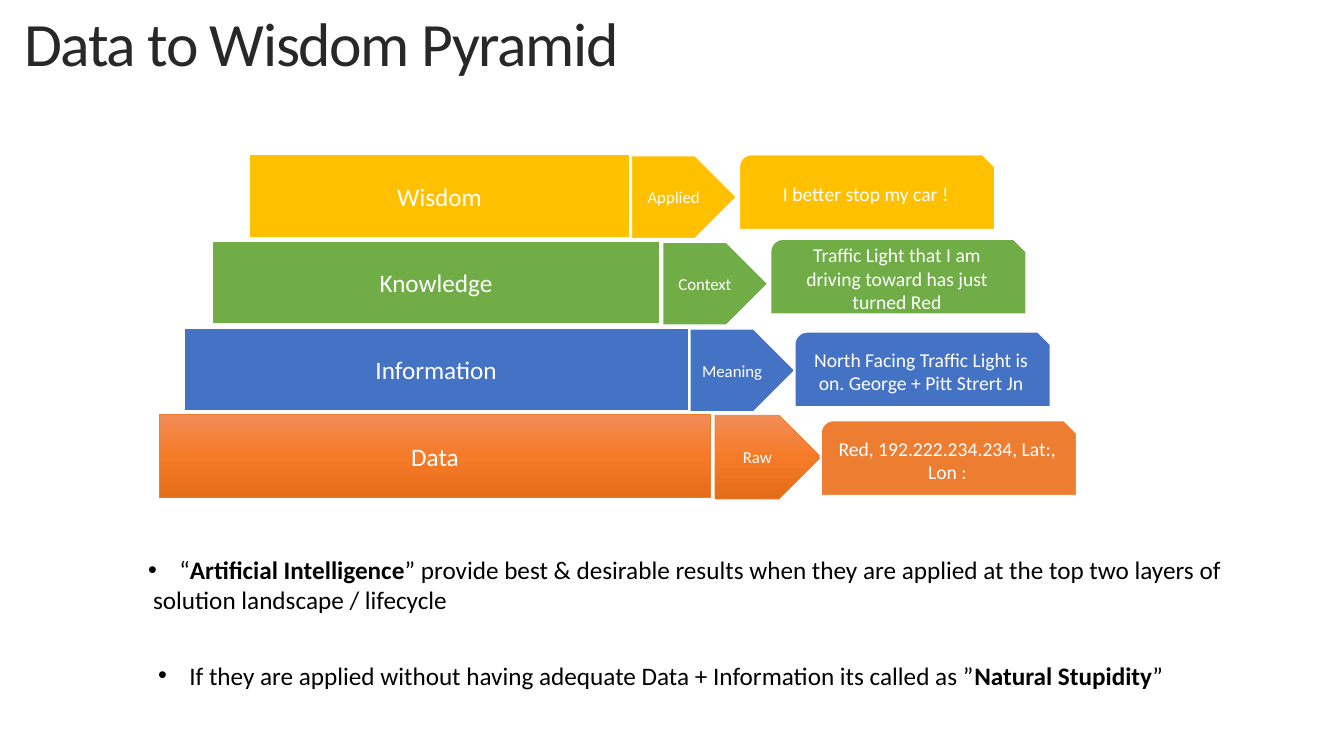
from pptx import Presentation
from pptx.dml.color import RGBColor
from pptx.enum.shapes import MSO_SHAPE
from pptx.enum.text import MSO_ANCHOR, MSO_AUTO_SIZE, PP_ALIGN
from pptx.oxml.ns import qn
from pptx.util import Inches, Pt
from copy import deepcopy
from lxml import etree

BAR = MSO_SHAPE.RECTANGLE
ARROW = MSO_SHAPE.PENTAGON
CARD = MSO_SHAPE.SNIP_ROUND_RECTANGLE
MIDDLE, TOP = MSO_ANCHOR.MIDDLE, MSO_ANCHOR.TOP
CENTER = PP_ALIGN.CENTER
GROW = MSO_AUTO_SIZE.SHAPE_TO_FIT_TEXT

WHITE = RGBColor(0xFF, 0xFF, 0xFF)
BLACK = RGBColor(0, 0, 0)
CHARCOAL = RGBColor(0x28, 0x28, 0x28)
GOLD = RGBColor(0xFF, 0xC0, 0x00)
GREEN = RGBColor(0x70, 0xAD, 0x47)
BLUE = RGBColor(0x44, 0x72, 0xC4)
ORANGE = RGBColor(0xED, 0x7D, 0x31)
ORANGE_SHADES = (RGBColor(0xF1, 0x8C, 0x57), RGBColor(0xF6, 0x7B, 0x28),
                 RGBColor(0xE5, 0x6C, 0x19))
FONT = "Calibri"

# Content
TITLE = "Data to Wisdom Pyramid"
# name, bar left, bar width, step, arrow left, example, card left, card top, colour, shades
LEVELS = [
    ("Wisdom", 2.47, 3.78, "Applied", 6.26, "I better stop my car !",
     7.33, 1.53, GOLD, None),
    ("Knowledge", 2.1, 4.45, "Context", 6.57,
     "Traffic Light that I am driving toward has just turned Red",
     7.64, 2.37, GREEN, None),
    ("Information", 1.82, 5.01, "Meaning", 6.84,
     "North Facing Traffic Light is on. George + Pitt Strert Jn",
     7.88, 3.29, BLUE, None),
    ("Data", 1.58, 5.47, "Raw", 7.09, "Red, 192.222.234.234, Lat:, Lon :",
     8.14, 4.17, ORANGE, ORANGE_SHADES),
]
# box, then paragraphs of (bulleted, runs of (text, bold))
NOTES = [
    ((1.37, 5.45, 10.94, 0.71), [
        (True, [("“", False), ("Artificial Intelligence", True),
                ("” provide best & desirable results when they are applied "
                 "at the top two layers of", False)]),
        (False, [("solution landscape / lifecycle", False)]),
    ]),
    ((1.47, 6.5, 10.46, 0.4), [
        (True, [("If they are applied without having adequate Data + Information "
                 "its called as ”", False),
                ("Natural Stupidity", True), ("”", False)]),
    ]),
]

# Layout
FIRST_TOP, ROW_STEP, ROW_HEIGHT = 1.53, 0.86, 0.83
ARROW_WIDTH, ARROW_DROP = 1.05, 0.01
CARD_WIDTH, CARD_HEIGHT = 2.54, 0.75
BULLET_INDENT, CONTINUED_INDENT = 0.31, 0.05

prs = Presentation()
prs.slide_width, prs.slide_height = Inches(13.33), Inches(7.5)
slide = prs.slides.add_slide(prs.slide_layouts[6])


def add_run(paragraph, text, size, color, bold=False):
    run = paragraph.add_run()
    run.text = text
    for key, value in {"name": FONT, "size": Pt(size), "bold": bold}.items():
        setattr(run.font, key, value)
    run.font.color.rgb = color
    return run


def add_text_box(box):
    frame = slide.shapes.add_textbox(*map(Inches, box)).text_frame
    frame.word_wrap = True
    frame.vertical_anchor = TOP
    return frame


def shade(shape, shades):
    shape.fill.gradient()
    shape.fill.gradient_angle = 270
    stop_list = shape._element.spPr.find(qn("a:gradFill")).find(qn("a:gsLst"))
    stop_list.insert(1, deepcopy(stop_list[0]))
    for i, (stop, color) in enumerate(zip(shape.fill.gradient_stops, shades)):
        stop.position = i / 2
        stop.color.rgb = color


def add_block(kind, box, text, size, color, shades=None):
    shape = slide.shapes.add_shape(kind, *map(Inches, box))
    shape.shadow.inherit = False
    if shades:
        shade(shape, shades)
    else:
        shape.fill.solid()
        shape.fill.fore_color.rgb = color
    shape.line.color.rgb = color if shades else WHITE
    shape.line.width = Pt(0.5 if shades else 1.5)
    shape.text_frame.vertical_anchor = MIDDLE
    paragraph = shape.text_frame.paragraphs[0]
    paragraph.alignment = CENTER
    add_run(paragraph, text, size, WHITE)


# Title
heading = add_text_box((0.14, 0.08, 13.2, 0.89)).paragraphs[0]
heading.line_spacing = 0.9
title_run = add_run(heading, TITLE, 44, CHARCOAL)
title_run.font._element.set("spc", "-100")

# Pyramid rows: bar, arrow, example card
for i, (name, bar_left, bar_width, step, arrow_left, example,
        card_left, card_top, color, shades) in enumerate(LEVELS):
    top = FIRST_TOP + i * ROW_STEP
    add_block(BAR, (bar_left, top, bar_width, ROW_HEIGHT), name, 18, color, shades)
    add_block(ARROW, (arrow_left, top + ARROW_DROP, ARROW_WIDTH, ROW_HEIGHT),
              step, 12, color, shades)
    add_block(CARD, (card_left, card_top, CARD_WIDTH, CARD_HEIGHT), example, 14, color)

# Notes below the pyramid
for box, paragraphs in NOTES:
    frame = add_text_box(box)
    frame.auto_size = GROW
    for i, (bulleted, runs) in enumerate(paragraphs):
        paragraph = frame.add_paragraph() if i else frame.paragraphs[0]
        props = paragraph._p.get_or_add_pPr()
        indent = BULLET_INDENT if bulleted else CONTINUED_INDENT
        props.set("marL", str(Inches(indent)))
        if bulleted:
            props.set("indent", str(-Inches(indent)))
            etree.SubElement(props, qn("a:buFont")).set("typeface", "Arial")
            etree.SubElement(props, qn("a:buChar")).set("char", "•")
        for text, bold in runs:
            add_run(paragraph, text, 18, BLACK, bold)

prs.save("out.pptx")
